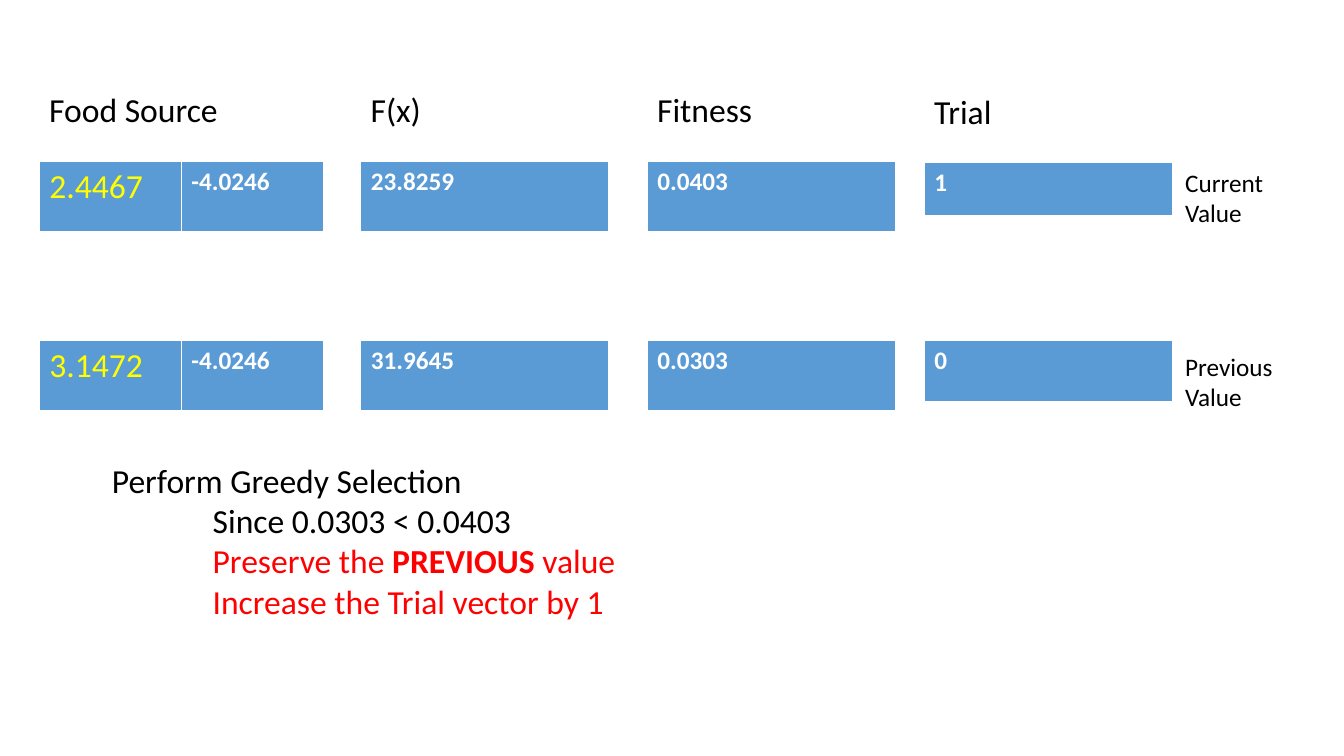
from dataclasses import dataclass

from lxml import etree
from pptx import Presentation
from pptx.dml.color import RGBColor
from pptx.enum.text import MSO_AUTO_SIZE
from pptx.oxml.ns import qn
from pptx.util import Cm, Pt

FIT_SHAPE = MSO_AUTO_SIZE.SHAPE_TO_FIT_TEXT

BLACK = RGBColor(0x00, 0x00, 0x00)
WHITE = RGBColor(0xFF, 0xFF, 0xFF)
RED = RGBColor(0xFF, 0x00, 0x00)
YELLOW = RGBColor(0xFF, 0xFF, 0x00)
BLUE = RGBColor(0x5B, 0x9B, 0xD5)

LARGE = {"name": "Calibri", "size": Pt(24), "bold": False}
SMALL = {**LARGE, "size": Pt(18)}
LARGE_BOLD = {**LARGE, "bold": True}
SMALL_BOLD = {**SMALL, "bold": True}

BORDERS = {"a:lnL": Pt(1), "a:lnR": Pt(1), "a:lnT": Pt(1), "a:lnB": Pt(3)}


@dataclass
class Text:
    text: str
    fmt: dict
    color: RGBColor = BLACK


@dataclass
class Line:
    runs: list[Text]
    indent: float = 0
    space_before: float = 0


@dataclass
class Row:
    top: float
    height: float
    cells: list[Text]


@dataclass
class Column:
    title: str
    left: float
    title_top: float
    cell_width: float
    rows: list[Row]


def value(text: str) -> Text:
    return Text(text, SMALL_BOLD, WHITE)


def changed(text: str) -> Text:
    return Text(text, LARGE, YELLOW)


COLUMNS = [
    Column("Food Source", 0.99, 2.11, 3.58, [
        Row(4.06, 1.8, [changed("2.4467"), value("-4.0246")]),
        Row(8.59, 1.8, [changed("3.1472"), value("-4.0246")]),
    ]),
    Column("F(x)", 9.09, 2.11, 6.25, [
        Row(4.06, 1.8, [value("23.8259")]),
        Row(8.59, 1.8, [value("31.9645")]),
    ]),
    Column("Fitness", 16.31, 2.11, 6.25, [
        Row(4.06, 1.8, [value("0.0403")]),
        Row(8.59, 1.8, [value("0.0303")]),
    ]),
    Column("Trial", 23.29, 2.16, 6.25, [
        Row(4.09, 1.37, [value("1")]),
        Row(8.59, 1.55, [value("0")]),
    ]),
]

ROW_LABELS = [
    Line([Text("Current Value", SMALL)]),
    Line([Text("Previous Value", SMALL)], space_before=88),
]

SELECTION = [
    Line([Text("Perform Greedy Selection", LARGE)]),
    Line([Text("Since 0.0303 < 0.0403", LARGE)], indent=2.54),
    Line([
        Text("Preserve the ", LARGE, RED),
        Text("PREVIOUS", LARGE_BOLD, RED),
        Text(" value", LARGE, RED),
    ], indent=2.54),
    Line([Text("Increase the Trial vector by 1", LARGE, RED)], indent=2.54),
]


def add_run(p, text: Text) -> None:
    r = p.add_run()
    r.text = text.text
    for name, val in text.fmt.items():
        setattr(r.font, name, val)
    r.font.color.rgb = text.color


def add_text(s, left: float, top: float, width: float, height: float,
             lines: list[Line]) -> None:
    tf = s.shapes.add_textbox(Cm(left), Cm(top), Cm(width), Cm(height)).text_frame
    tf.word_wrap = True
    tf.auto_size = FIT_SHAPE
    for i, line in enumerate(lines):
        p = tf.add_paragraph() if i else tf.paragraphs[0]
        p.space_before = Pt(line.space_before)
        p._p.get_or_add_pPr().set("marL", str(Cm(line.indent)))
        for text in line.runs:
            add_run(p, text)


def add_borders(cell) -> None:
    tc_pr = cell._tc.get_or_add_tcPr()
    for i, (tag, width) in enumerate(BORDERS.items()):
        ln = etree.Element(qn(tag), w=str(width))
        fill = etree.SubElement(ln, qn("a:solidFill"))
        etree.SubElement(fill, qn("a:srgbClr"), val=str(WHITE))
        tc_pr.insert(i, ln)


def add_row(s, column: Column, row: Row) -> None:
    count = len(row.cells)
    table = s.shapes.add_table(1, count, Cm(column.left), Cm(row.top),
                               Cm(column.cell_width * count), Cm(row.height)).table
    for i, text in enumerate(row.cells):
        cell = table.cell(0, i)
        cell.fill.solid()
        cell.fill.fore_color.rgb = BLUE
        add_borders(cell)
        add_run(cell.text_frame.paragraphs[0], text)


def main() -> None:
    prs = Presentation()
    prs.slide_width, prs.slide_height = Cm(33.87), Cm(19.05)
    s = prs.slides.add_slide(prs.slide_layouts[6])
    for column in COLUMNS:
        add_text(s, column.left, column.title_top, 5.84, 1.28,
                 [Line([Text(column.title, LARGE)])])
        for row in column.rows:
            add_row(s, column, row)
    add_text(s, 29.62, 4.09, 3.73, 6.4, ROW_LABELS)
    add_text(s, 2.57, 11.46, 21.34, 4.37, SELECTION)
    prs.save("out.pptx")


if __name__ == "__main__":
    main()
